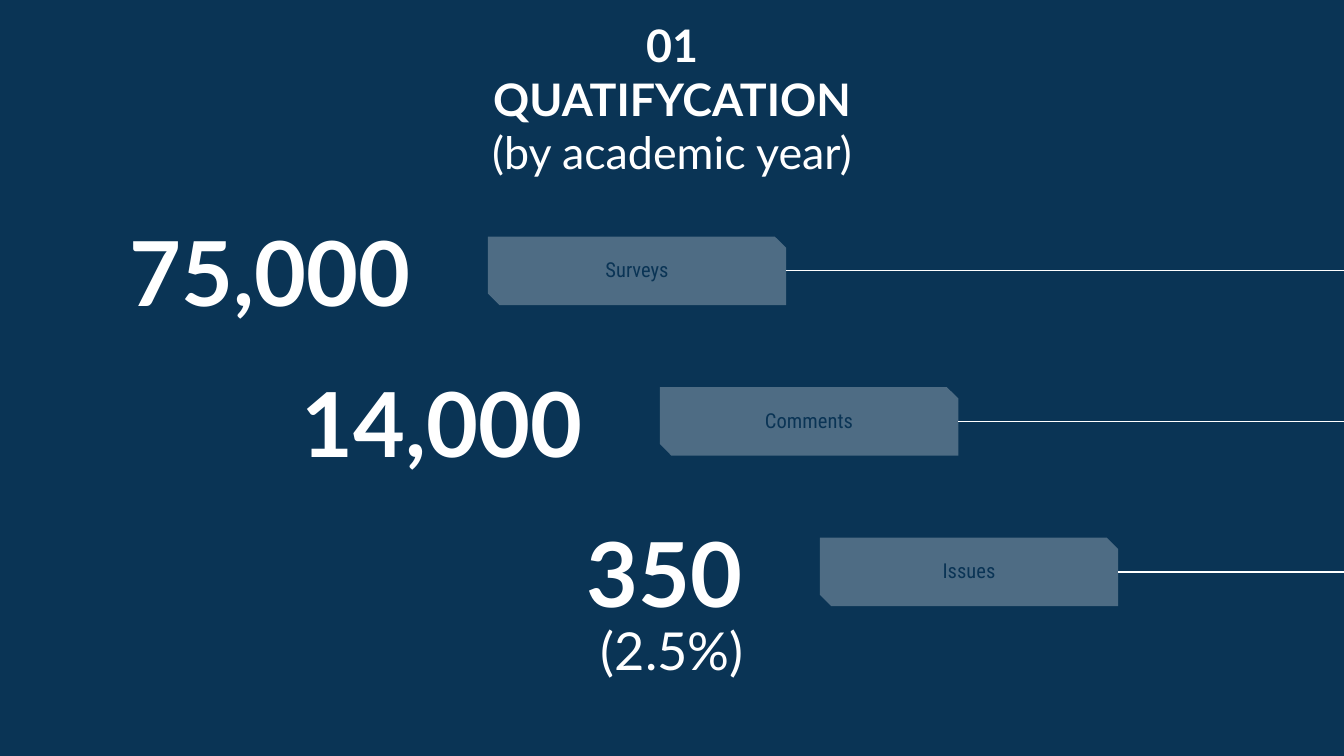
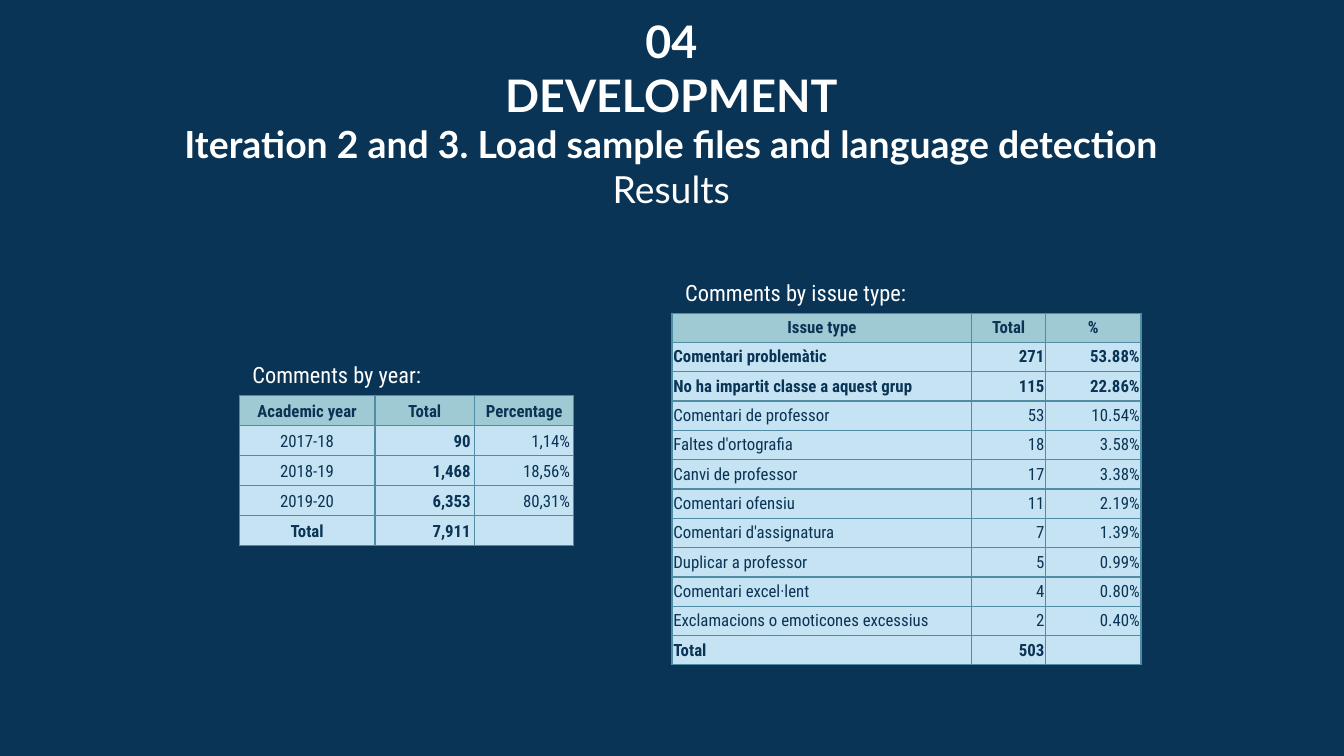
import copy

import pptx
import pptx.util
import pptx.dml.color
import pptx.enum.shapes
import pptx.enum.text
import pptx.oxml.ns
import lxml.etree

Inches = pptx.util.Inches
Pt = pptx.util.Pt
ALIGN = pptx.enum.text.PP_ALIGN
ANCHOR = pptx.enum.text.MSO_ANCHOR
qn = pptx.oxml.ns.qn

COLORS = {
    "navy": "0A3455",
    "white": "FFFFFF",
    "header": "A0CAD3",
    "cell": "C5E3F3",
    "border": "508DA4",
}
HEADING = "Lato"
BODY = "Roboto Condensed"
SLIDE_W = 10
SLIDE_H = SLIDE_W * 9 / 16

YEARS = [
    ["Academic year", "Total", "Percentage"],
    ["2017-18", "90", "1,14%"],
    ["2018-19", "1,468", "18,56%"],
    ["2019-20", "6,353", "80,31%"],
    ["Total", "7,911", ""],
]
ISSUES = [
    ["Issue type", "Total", "%"],
    ["Comentari problemàtic", "271", "53.88%"],
    ["No ha impartit classe a aquest grup", "115", "22.86%"],
    ["Comentari de professor", "53", "10.54%"],
    ["Faltes d'ortografia", "18", "3.58%"],
    ["Canvi de professor", "17", "3.38%"],
    ["Comentari ofensiu", "11", "2.19%"],
    ["Comentari d'assignatura", "7", "1.39%"],
    ["Duplicar a professor", "5", "0.99%"],
    ["Comentari excel·lent", "4", "0.80%"],
    ["Exclamacions o emoticones excessius", "2", "0.40%"],
    ["Total", "503", ""],
]


def rgb(name):
    return pptx.dml.color.RGBColor.from_string(COLORS[name])


def format_run(r, font, size, color, bold=False):
    r.font.name = font
    r.font.size = Pt(size)
    r.font.bold = bold
    r.font.color.rgb = rgb(color)


def set_frame(tf, anchor, inset_y=0.1):
    tf.word_wrap = True
    tf.auto_size = pptx.enum.text.MSO_AUTO_SIZE.NONE
    tf.vertical_anchor = anchor
    tf.margin_left = tf.margin_right = Inches(0.1)
    tf.margin_top = tf.margin_bottom = Inches(inset_y)


def add_title_slide(prs, box, paragraphs):
    s = prs.slides.add_slide(prs.slide_layouts.get_by_name("Title Only"))
    sp = s.shapes.title
    sp.left, sp.top, sp.width, sp.height = [Inches(v) for v in box]
    tf = sp.text_frame
    set_frame(tf, ANCHOR.TOP)
    for i, lines in enumerate(paragraphs):
        p = tf.add_paragraph() if i else tf.paragraphs[0]
        p.text = "\v".join(text for text, size, bold in lines)
        p.alignment = ALIGN.CENTER
        for r, (text, size, bold) in zip(p.runs, lines):
            format_run(r, HEADING, size, "white", bold)
        for br, r in zip(p._p.findall(qn("a:br")), p.runs):
            br.append(copy.deepcopy(r._r.rPr))
    return s


def add_text(s, x, y, w, h, text, font, size, color="white", bold=False,
             align=ALIGN.LEFT, anchor=ANCHOR.TOP, inset_y=0.1):
    sp = s.shapes.add_textbox(Inches(x), Inches(y), Inches(w), Inches(h))
    tf = sp.text_frame
    set_frame(tf, anchor, inset_y)
    tf.text = text
    p = tf.paragraphs[0]
    p.alignment = align
    format_run(p.runs[0], font, size, color, bold)


def add_badge(s, x, y, w, h, text):
    kind = pptx.enum.shapes.MSO_SHAPE.SNIP_2_DIAG_RECTANGLE
    sp = s.shapes.add_shape(kind, Inches(x), Inches(y), Inches(w), Inches(h))
    sp.adjustments[0], sp.adjustments[1] = 0, 0.167
    sp.shadow.inherit = False
    sp.line.fill.background()
    sp.fill.solid()
    sp.fill.fore_color.rgb = rgb("white")
    clr = sp._element.spPr.find(".//" + qn("a:srgbClr"))
    lxml.etree.SubElement(clr, qn("a:alpha"), val="28000")
    add_text(s, x + 0.1, y + 0.06, w - 0.2, 0.37, text, BODY, 11, "navy",
             align=ALIGN.CENTER, anchor=ANCHOR.MIDDLE)


def add_rule(s, x, y):
    kind = pptx.enum.shapes.MSO_CONNECTOR.STRAIGHT
    ln = s.shapes.add_connector(kind, Inches(SLIDE_W), Inches(y), Inches(x), Inches(y))
    ln.line.color.rgb = rgb("white")
    ln.line.width = Pt(0.75)
    lxml.etree.SubElement(ln._element.spPr, qn("a:effectLst"))


def add_metric(s, y, number_right, number, label):
    number_w, badge_w, badge_h = 2.45, 2.22, 0.51
    badge_x = number_right + 0.48
    add_rule(s, badge_x + badge_w, y + badge_h / 2)
    add_text(s, number_right - number_w, y - 0.16, number_w, 0.83, number,
             HEADING, 48, bold=True, align=ALIGN.RIGHT, anchor=ANCHOR.MIDDLE)
    add_badge(s, badge_x, y, badge_w, badge_h, label)


def set_borders(cell):
    tcPr = cell._tc.get_or_add_tcPr()
    for side in ("a:lnL", "a:lnR", "a:lnT", "a:lnB"):
        ln = lxml.etree.SubElement(tcPr, qn(side), w=str(Pt(0.75)))
        fill = lxml.etree.SubElement(ln, qn("a:solidFill"))
        lxml.etree.SubElement(fill, qn("a:srgbClr"), val=COLORS["border"])


def format_cell(cell, text, header, bold, align, anchor, inset, spacing):
    set_borders(cell)
    cell.fill.solid()
    cell.fill.fore_color.rgb = rgb("header" if header else "cell")
    cell.vertical_anchor = anchor
    cell.margin_left = cell.margin_right = Inches(inset)
    cell.margin_top = cell.margin_bottom = Inches(inset)
    p = cell.text_frame.paragraphs[0]
    p.text = text
    p.alignment = ALIGN.CENTER if header else align
    if spacing:
        p.line_spacing, p.space_after = spacing, Pt(10)
    if text:
        format_run(p.runs[0], BODY, 9, "navy", bold)
    else:
        lxml.etree.SubElement(p._p, qn("a:endParaRPr"), sz="900")


def add_table(s, x, y, widths, height, caption, rows, bold_rows, bold_cols,
              first_align, anchor, inset, spacing=None):
    frame = s.shapes.add_table(len(rows), len(widths), Inches(x), Inches(y),
                               Inches(sum(widths)), Inches(height))
    table = frame.table
    for col, w in zip(table.columns, widths):
        col.width = Inches(w)
    for i, row in enumerate(rows):
        table.rows[i].height = Inches(height / len(rows))
        for j, text in enumerate(row):
            format_cell(table.cell(i, j), text, i == 0,
                        i in bold_rows or j in bold_cols,
                        ALIGN.RIGHT if j else first_align, anchor, inset, spacing)
    add_text(s, x, y - 0.3, sum(widths), 0.3, caption, BODY, 12, inset_y=0.05)


def build_qualification(prs):
    s = add_title_slide(prs, (2.15, 0.03, 5.7, 1.3), [
        [("01", 24, True), ("QUATIFYCATION", 24, True), ("(by academic year)", 24, False)],
    ])
    metrics = [
        (3.15, "75,000", "Surveys"),
        (4.43, "14,000", "Comments"),
        (5.62, "350", "Issues"),
    ]
    for i, (right, number, label) in enumerate(metrics):
        add_metric(s, 1.76 + 1.12 * i, right, number, label)
    add_text(s, 3.26, 4.42, 2.37, 0.83, "(2.5%)", HEADING, 28,
             align=ALIGN.RIGHT, anchor=ANCHOR.MIDDLE)


def build_development(prs):
    s = add_title_slide(prs, (0.82, 0, 8.35, 1.59), [
        [("04", 24, True)],
        [("DEVELOPMENT", 24, True)],
        [("Iteration 2 and 3. Load sample files and language detection", 20, True),
         ("Results", 20, False)],
    ])
    add_table(s, 1.78, 2.94, [1.01, 0.74, 0.74], 1.09, "Comments by year:", YEARS,
              {0, 4}, {1}, ALIGN.CENTER, ANCHOR.BOTTOM, 2 / 72, 1.15)
    add_table(s, 5, 2.33, [2.23, 0.55, 0.71], 2.62, "Comments by issue type:", ISSUES,
              {0, 1, 2, 11}, set(), ALIGN.LEFT, ANCHOR.MIDDLE, 0.01)


def main():
    prs = pptx.Presentation()
    prs.slide_width, prs.slide_height = Inches(SLIDE_W), Inches(SLIDE_H)
    fill = prs.slide_master.background.fill
    fill.solid()
    fill.fore_color.rgb = rgb("navy")
    build_qualification(prs)
    build_development(prs)
    prs.save("out.pptx")


if __name__ == "__main__":
    main()
